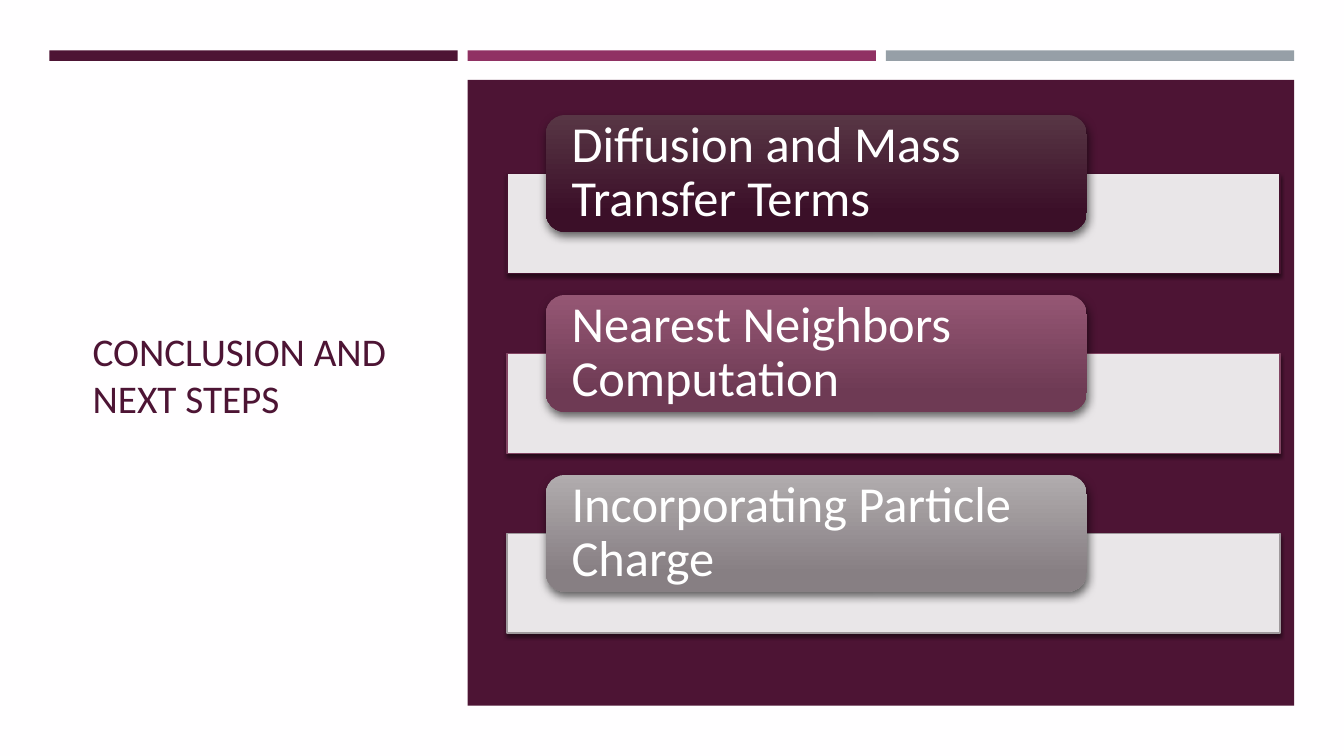
"""Build the conclusion slide with three next-step cards."""
from dataclasses import dataclass

from lxml import etree
from pptx import Presentation
from pptx.dml.color import RGBColor
from pptx.enum.shapes import MSO_SHAPE
from pptx.enum.text import MSO_ANCHOR, MSO_AUTO_SIZE, PP_ALIGN
from pptx.oxml.ns import qn
from pptx.shapes.autoshape import Shape
from pptx.slide import Slide
from pptx.text.text import TextFrame
from pptx.util import Pt

RECTANGLE = MSO_SHAPE.RECTANGLE
ROUNDED = MSO_SHAPE.ROUNDED_RECTANGLE
MIDDLE = MSO_ANCHOR.MIDDLE
LEFT = PP_ALIGN.LEFT
NO_AUTOFIT = MSO_AUTO_SIZE.NONE

FONT = "Calibri"
PAPER = RGBColor(0xFF, 0xFE, 0xFF)
WHITE = RGBColor(0xFF, 0xFF, 0xFF)
PLUM = RGBColor(0x4D, 0x14, 0x34)
MAGENTA = RGBColor(0x90, 0x31, 0x63)
SLATE = RGBColor(0x96, 0x9F, 0xA7)

BAR_LEFT, BAR_PITCH = 35.3, 298.75
STEP_PITCH = 128.55


@dataclass(frozen=True)
class Box:
    left: float
    top: float
    width: float
    height: float


@dataclass(frozen=True)
class Shadow:
    opacity: int
    blur: float
    distance: float
    angle: int


@dataclass(frozen=True)
class Step:
    text: str
    border: RGBColor
    light: RGBColor
    dark: RGBColor


PANEL = Box(334, 57, 590.4, 447)
TITLE = Box(59, 82, 240.5, 371)
STRIP_SHADOW = Shadow(55, 3, 2, 90)
CARD_SHADOW = Shadow(60, 7, 3, 84)

STEPS = (
    Step("Diffusion and Mass Transfer Terms", RGBColor(0x46, 0x12, 0x2F),
         RGBColor(0x58, 0x36, 0x45), RGBColor(0x3B, 0x0F, 0x28)),
    Step("Nearest Neighbors Computation", RGBColor(0x83, 0x45, 0x63),
         RGBColor(0x95, 0x57, 0x74), RGBColor(0x6E, 0x3A, 0x54)),
    Step("Incorporating Particle Charge", RGBColor(0x9F, 0x99, 0x9C),
         RGBColor(0xB1, 0xAC, 0xAE), RGBColor(0x87, 0x7F, 0x83)),
)


def add_block(slide: Slide, box: Box, fill: RGBColor, preset: MSO_SHAPE = RECTANGLE) -> Shape:
    """Add a borderless shape with a solid fill."""
    block = slide.shapes.add_shape(
        preset, Pt(box.left), Pt(box.top), Pt(box.width), Pt(box.height))
    block.shadow.inherit = False
    block.fill.solid()
    block.fill.fore_color.rgb = fill
    block.line.fill.background()
    return block


def set_opacity(color: etree.ElementBase, percent: int) -> None:
    """Give a colour element an opacity."""
    etree.SubElement(color, qn("a:alpha"), val=str(percent * 1000))


def cast_shadow(block: Shape, shadow: Shadow) -> None:
    """Put an outer black shadow on a shape."""
    effects = block._element.spPr.find(qn("a:effectLst"))
    outer = etree.SubElement(
        effects, qn("a:outerShdw"), blurRad=str(Pt(shadow.blur)),
        dist=str(Pt(shadow.distance)), dir=str(shadow.angle * 60000),
        algn="ctr", rotWithShape="0")
    set_opacity(etree.SubElement(outer, qn("a:srgbClr"), val="000000"), shadow.opacity)


def write(frame: TextFrame, text: str, size: float, color: RGBColor, spacing: float) -> None:
    """Fill a frame with one left-aligned, vertically centred paragraph."""
    frame.text = text
    frame.word_wrap = True
    frame.auto_size = NO_AUTOFIT
    frame.vertical_anchor = MIDDLE
    paragraph = frame.paragraphs[0]
    paragraph.alignment = LEFT
    paragraph.line_spacing = spacing
    font = paragraph.runs[0].font
    font.name, font.size, font.color.rgb = FONT, Pt(size), color


def add_title(slide: Slide) -> None:
    """Place and format the title placeholder."""
    title = slide.shapes.title
    title.left, title.top = Pt(TITLE.left), Pt(TITLE.top)
    title.width, title.height = Pt(TITLE.width), Pt(TITLE.height)
    write(title.text_frame, "CONCLUSION AND NEXT STEPS", 28, PLUM, 1.0)


def add_step(slide: Slide, step: Step, offset: float) -> None:
    """Draw a pale strip with its gradient card on top."""
    strip = add_block(slide, Box(362.2, 123.9 + offset, 552.2, 71.3), WHITE)
    set_opacity(strip._element.spPr.find(qn("a:solidFill"))[0], 90)
    strip.line.color.rgb = step.border
    strip.line.width = Pt(1)
    cast_shadow(strip, STRIP_SHADOW)

    card = add_block(slide, Box(389.8, 82.1 + offset, 386.5, 83.5), step.dark, ROUNDED)
    card.fill.gradient()
    card.fill.gradient_angle = 270
    stops = card.fill.gradient_stops
    for stop, color, position in zip(stops, (step.light, step.dark), (0, 0.84)):
        stop.color.rgb = color
        stop.position = position
    cast_shadow(card, CARD_SHADOW)

    frame = card.text_frame
    frame.margin_left = frame.margin_right = Pt(14.4)
    frame.margin_top = frame.margin_bottom = 0
    write(frame, step.text, 36, WHITE, 0.9)


def main() -> None:
    """Assemble and save the slide."""
    deck = Presentation()
    deck.slide_width, deck.slide_height = Pt(960), Pt(540)
    slide = deck.slides.add_slide(deck.slide_layouts[5])
    slide.background.fill.solid()
    slide.background.fill.fore_color.rgb = PAPER

    add_block(slide, PANEL, PLUM)
    for index, color in enumerate((PLUM, MAGENTA, SLATE)):
        add_block(slide, Box(BAR_LEFT + index * BAR_PITCH, 36, 291.6, 7.5), color)
    add_title(slide)
    for index, step in enumerate(STEPS):
        add_step(slide, step, index * STEP_PITCH)
    deck.save("out.pptx")


if __name__ == "__main__":
    main()
